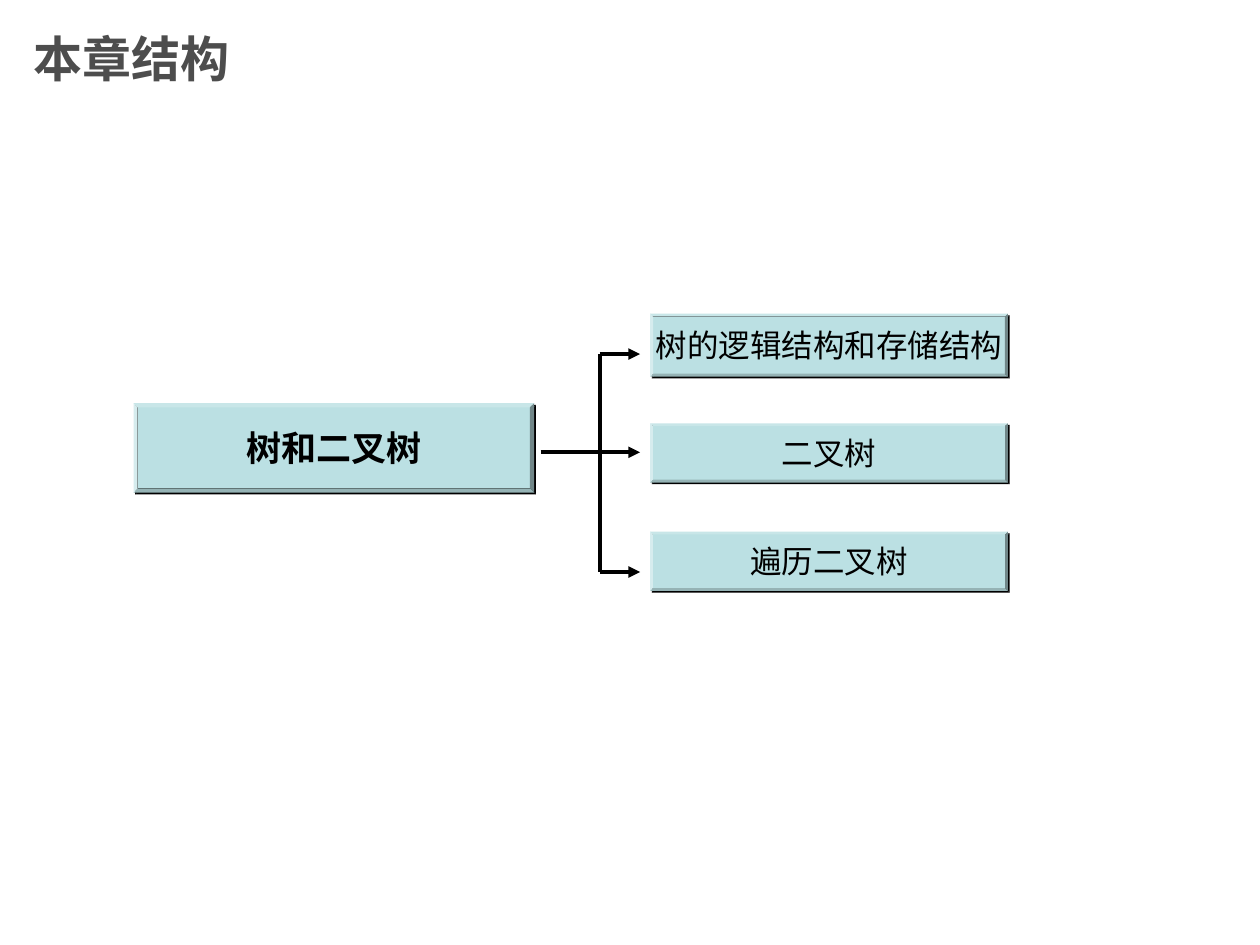
from lxml.etree import SubElement
from pptx import Presentation
from pptx.dml.color import RGBColor
from pptx.enum.shapes import MSO_CONNECTOR, MSO_SHAPE
from pptx.enum.text import MSO_ANCHOR, PP_ALIGN
from pptx.oxml.ns import qn
from pptx.util import Inches, Pt

COLORS = {"title": "4D4D4D", "panel": "BBE0E3", "ink": "000000"}
CJK_FONT = "Noto Sans CJK SC"
BRANCHES = [  # label, font, top row, height in rows, row of its arrow
    ("树的逻辑结构和存储结构", "Arial Narrow", 24.9, 5, 28.1),
    ("二叉树", CJK_FONT, 33.6, 4.7, 35.9),
    ("遍历二叉树", CJK_FONT, 42.2, 4.7, 45.4),
]


def grid(*cells):
    """Lengths on a grid of 100 columns by 75 rows."""
    return [Inches(cell / 10) for cell in cells]


def color(name):
    return RGBColor.from_string(COLORS[name])


def write(shape, text, size, font, ink="ink", bold=False, align=PP_ALIGN.CENTER):
    frame = shape.text_frame
    frame.vertical_anchor = MSO_ANCHOR.MIDDLE
    para = frame.paragraphs[0]
    para.text = text
    para.alignment = align
    para.font.size = Pt(size)
    para.font.name = font
    para.font.bold = bold
    para.font.color.rgb = color(ink)


def add_title(page, box, text):
    title = page.shapes.add_textbox(*grid(*box))
    title.text_frame.word_wrap = True
    write(title, text, 28, "Arial", "title", True, PP_ALIGN.LEFT)


def add_panel(page, box, text, size, font, bold=False):
    panel = page.shapes.add_shape(MSO_SHAPE.BEVEL, *grid(*box))
    panel.adjustments[0] = 0.047
    panel.fill.solid()
    panel.fill.fore_color.rgb = color("panel")
    panel.line.fill.background()
    # Hard shadow to the lower right
    panel.shadow.inherit = False
    effects = panel.element.spPr.find(qn("a:effectLst"))
    shadow = SubElement(effects, qn("a:outerShdw"), dist=str(Pt(1.4)),
                        dir="2700000", algn="ctr", rotWithShape="0")
    SubElement(shadow, qn("a:srgbClr"), val=COLORS["ink"])
    panel.text_frame.word_wrap = False
    write(panel, text, size, font, bold=bold)


def add_line(page, start, end, arrow=False):
    line = page.shapes.add_connector(MSO_CONNECTOR.STRAIGHT, *grid(*start, *end))
    line.line.color.rgb = color("ink")
    line.line.width = Pt(2.25)
    if arrow:
        SubElement(line.line._get_or_add_ln(), qn("a:tailEnd"), type="triangle")
    SubElement(line.element.spPr, qn("a:effectLst"))


def add_tree(page, box):
    left, top, width, height = box
    # Root and branches
    add_panel(page, (left, 32, 31.8, 7.1), "树和二叉树", 20, CJK_FONT, True)
    branch_width = 28.4
    branch_left = left + width - branch_width
    for label, font, row, rows, _ in BRANCHES:
        add_panel(page, (branch_left, row, branch_width, rows), label, 18, font)
    # Trunk, stem and arrows
    arrow_rows = [branch[-1] for branch in BRANCHES]
    trunk = branch_left - 4
    add_line(page, (trunk, arrow_rows[0]), (trunk, arrow_rows[-1]))
    add_line(page, (trunk - 4.7, arrow_rows[1]), (trunk, arrow_rows[1]))
    for row in arrow_rows:
        add_line(page, (trunk, row), (trunk + 3.2, row), arrow=True)


def main():
    deck = Presentation()
    deck.slide_width, deck.slide_height = grid(100, 75)
    page = deck.slides.add_slide(deck.slide_layouts[6])
    add_title(page, (1.7, 0, 75, 9.2), "本章结构")
    add_tree(page, (10.6, 24.9, 69.4, 22))
    deck.save("out.pptx")


if __name__ == "__main__":
    main()
